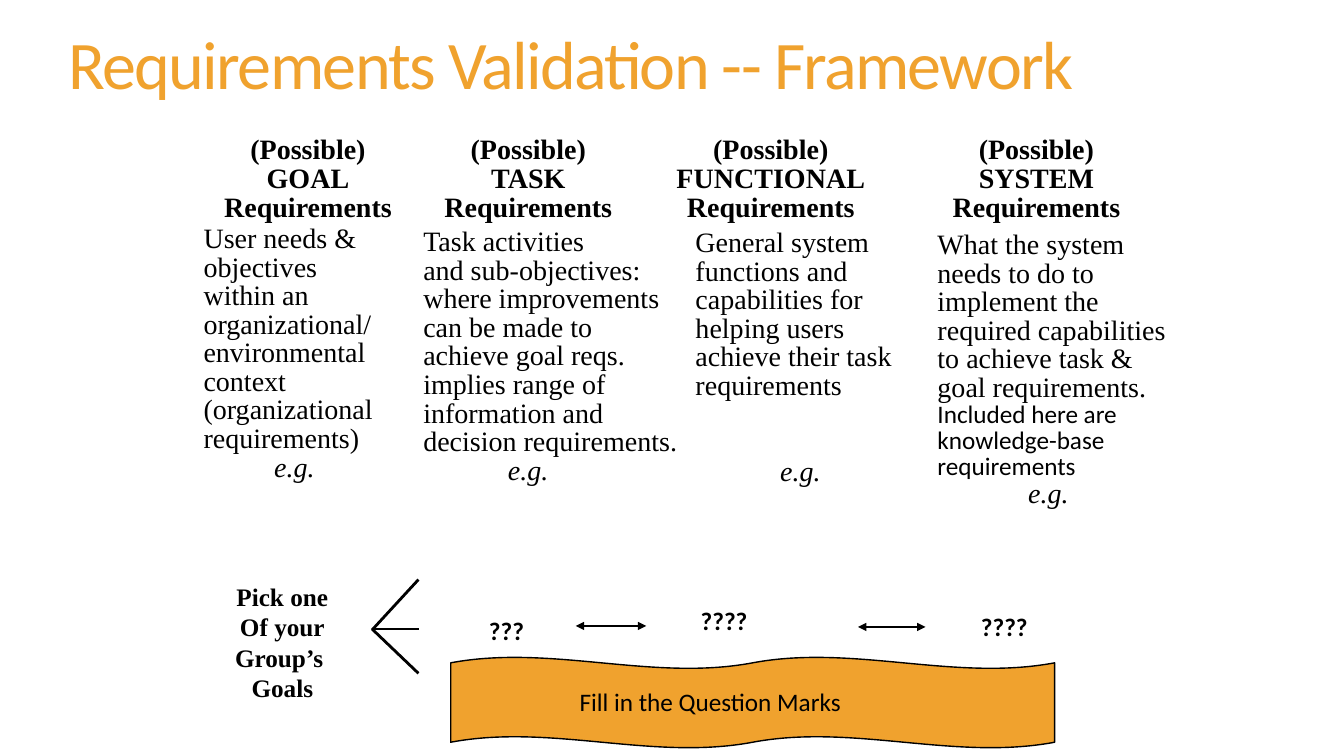
from lxml.etree import SubElement
from pptx import Presentation
from pptx.dml.color import RGBColor
from pptx.enum.shapes import MSO_CONNECTOR, MSO_SHAPE
from pptx.enum.text import MSO_ANCHOR, PP_ALIGN
from pptx.oxml.ns import qn
from pptx.util import Inches, Pt

COLORS = {"accent": "F0A22E", "ink": "000000"}
SERIF, SANS = "Times New Roman", "Calibri"
TIGHT = 0.85

# Heading word, (left, width) of heading
HEADINGS = [
    ("GOAL", 1.93, 2.25),
    ("TASK", 4.05, 2.38),
    ("FUNCTIONAL", 6.47, 2.35),
    ("SYSTEM", 9.11, 2.34),
]

# Box, serif lines, sans lines, indent of "e.g." and points before it
COLUMNS = [
    ((1.92, 2.19, 2.22, 2.67),
     ["User needs &", "objectives", "within an", "organizational/",
      "environmental", "context", "(organizational", "requirements)"],
     [], 0.7, 0),
    ((4.1, 2.22, 2.74, 2.67),
     ["Task activities", "and sub-objectives:", "where improvements",
      "can be made to", "achieve goal reqs.", "implies range of",
      "information and", "decision requirements."],
     [], 0.84, 0),
    ((6.8, 2.23, 2.27, 2.67),
     ["General system", "functions and",
      "capabilities for helping users achieve their task", "requirements"],
     [], 0.84, 41),
    ((9.2, 2.25, 2.47, 2.87),
     ["What the system", "needs to do to", "implement the",
      "required capabilities", "to achieve task & goal requirements."],
     ["Included here are", "knowledge-base", "requirements"], 0.9, 0),
]

QUESTIONS = [("???", 4.85, 6.1), ("????", 6.95, 6.0), ("????", 9.73, 6.06)]
FAN = [(3.71, 6.24, 4.16, 6.24), (3.69, 6.25, 4.15, 5.75),
       (3.69, 6.24, 4.15, 6.68)]
ARROWS = [(5.71, 6.21, 6.41, 6.21), (8.51, 6.22, 9.18, 6.22)]


def rgb(name):
    """Return a palette colour."""
    return RGBColor.from_string(COLORS[name])


def add_box(s, box, inset=(0.1, 0.05)):
    """Add an empty wrapping text box and return its text frame."""
    tf = s.shapes.add_textbox(*map(Inches, box)).text_frame
    tf.word_wrap = True
    tf.margin_left = tf.margin_right = Inches(inset[0])
    tf.margin_top = tf.margin_bottom = Inches(inset[1])
    return tf


def add_line(tf, text, size=20, font=SERIF, color="ink", bold=False,
             italic=False, align=PP_ALIGN.LEFT, spacing=TIGHT):
    """Add one styled paragraph, using the empty first one if it is free."""
    p = tf.paragraphs[0]
    if p.runs:
        p = tf.add_paragraph()
    p.add_run().text = text
    p.alignment, p.line_spacing = align, spacing
    f = p.font
    f.size, f.name, f.bold, f.italic = Pt(size), font, bold, italic
    f.color.rgb = rgb(color)
    return p


def add_title(s, text):
    """Add the slide title with tightened letters."""
    tf = add_box(s, (0.58, 0.32, 11.78, 0.73))
    tf.vertical_anchor = MSO_ANCHOR.MIDDLE
    p = add_line(tf, text, 48.6, SANS, "accent")
    p.runs[0].font._element.set("spc", "-120")


def add_heading(s, word, left, width):
    """Add the three-line heading of a column."""
    tf = add_box(s, (left, 1.36, width, 0.86), (0, 0))
    for text in ("(Possible)", word, "Requirements"):
        add_line(tf, text, bold=True, align=PP_ALIGN.CENTER)


def add_column(s, box, serif_lines, sans_lines, indent, before):
    """Add the description of a column, closed by an indented e.g."""
    tf = add_box(s, box)
    for text in serif_lines:
        add_line(tf, text)
    for text in sans_lines:
        add_line(tf, text, 18, SANS)
    p = add_line(tf, "e.g.", italic=True)
    p.space_before = Pt(before)
    p._p.get_or_add_pPr().set("marL", str(Inches(indent)))


def add_connector(s, ends, width, arrows=False):
    """Add a straight line, with arrowheads at both ends if asked."""
    sp = s.shapes.add_connector(MSO_CONNECTOR.STRAIGHT, *map(Inches, ends))
    sp.line.color.rgb = rgb("ink")
    sp.line.width = Pt(width)
    if arrows:
        ln = sp.line._get_or_add_ln()
        for tag in ("a:headEnd", "a:tailEnd"):
            SubElement(ln, qn(tag), type="triangle")
    SubElement(sp._element.spPr, qn("a:effectLst"))


def add_banner(s, text):
    """Add the wavy banner and its caption."""
    sp = s.shapes.add_shape(MSO_SHAPE.DOUBLE_WAVE,
                            *map(Inches, (4.47, 6.52, 5.99, 0.9)))
    sp.shadow.inherit = False
    sp.fill.solid()
    sp.fill.fore_color.rgb = rgb("accent")
    sp.line.color.rgb = rgb("ink")
    sp.line.width = Pt(1)
    tf = add_box(s, (5.65, 6.76, 2.79, 0.4))
    tf.word_wrap = False
    add_line(tf, text, 18, SANS, spacing=1.0)


def main():
    """Build the slide and save it."""
    prs = Presentation()
    prs.slide_width, prs.slide_height = Inches(13.33), Inches(7.5)
    s = prs.slides.add_slide(prs.slide_layouts[6])
    add_title(s, "Requirements Validation -- Framework")
    for heading in HEADINGS:
        add_heading(s, *heading)
    for column in COLUMNS:
        add_column(s, *column)
    tf = add_box(s, (1.94, 5.72, 1.72, 1.31))
    for text in ("Pick one", "Of your", "Group’s ", "Goals"):
        add_line(tf, text, 18, bold=True, align=PP_ALIGN.CENTER, spacing=1.0)
    for ends in FAN:
        add_connector(s, ends, 2)
    for ends in ARROWS:
        add_connector(s, ends, 1, arrows=True)
    for text, left, top in QUESTIONS:
        tf = add_box(s, (left, top, 1.37, 0.36), (0, 0.05))
        add_line(tf, text, 18, SANS, bold=True)
    add_banner(s, "Fill in the Question Marks")
    prs.save("out.pptx")


main()
